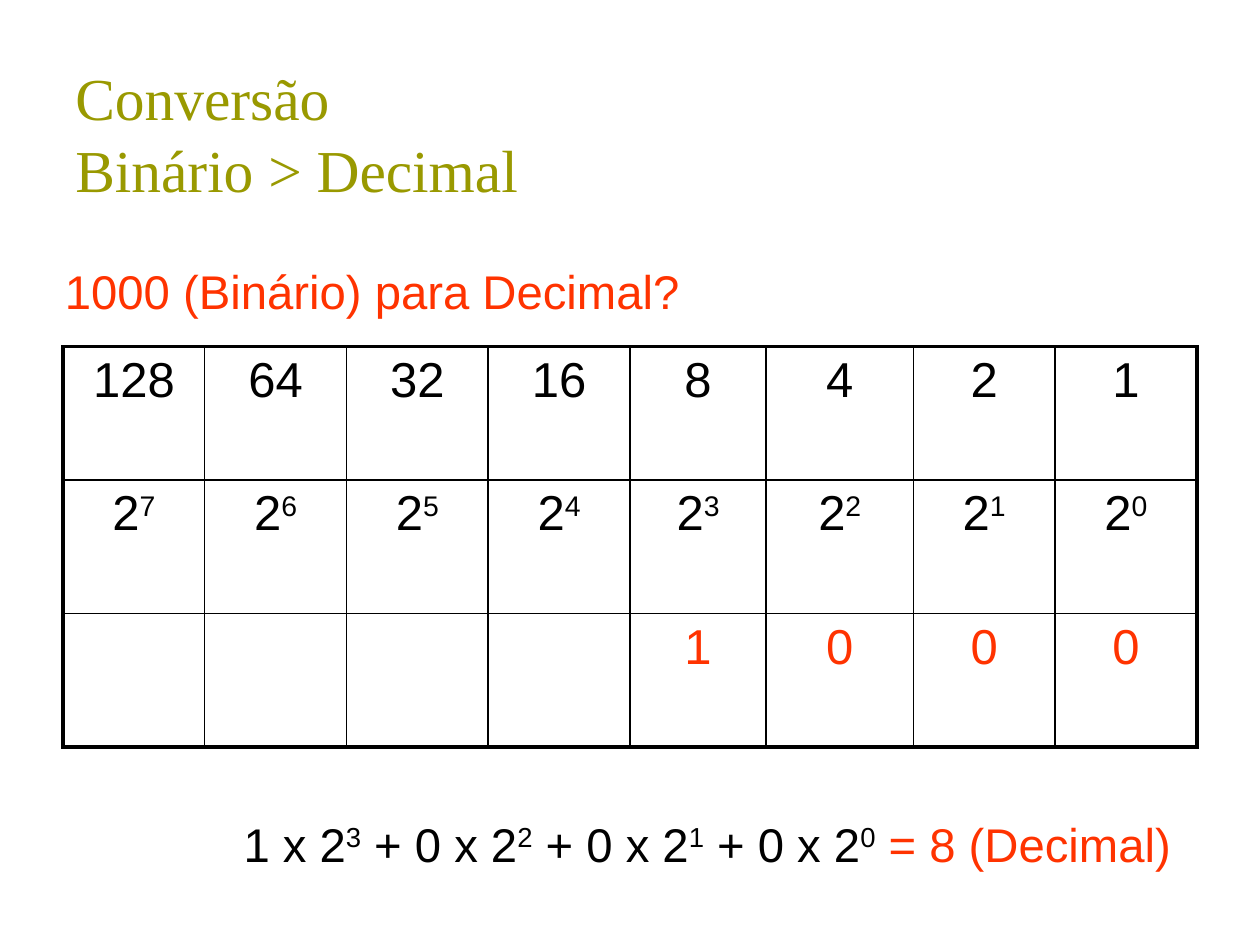
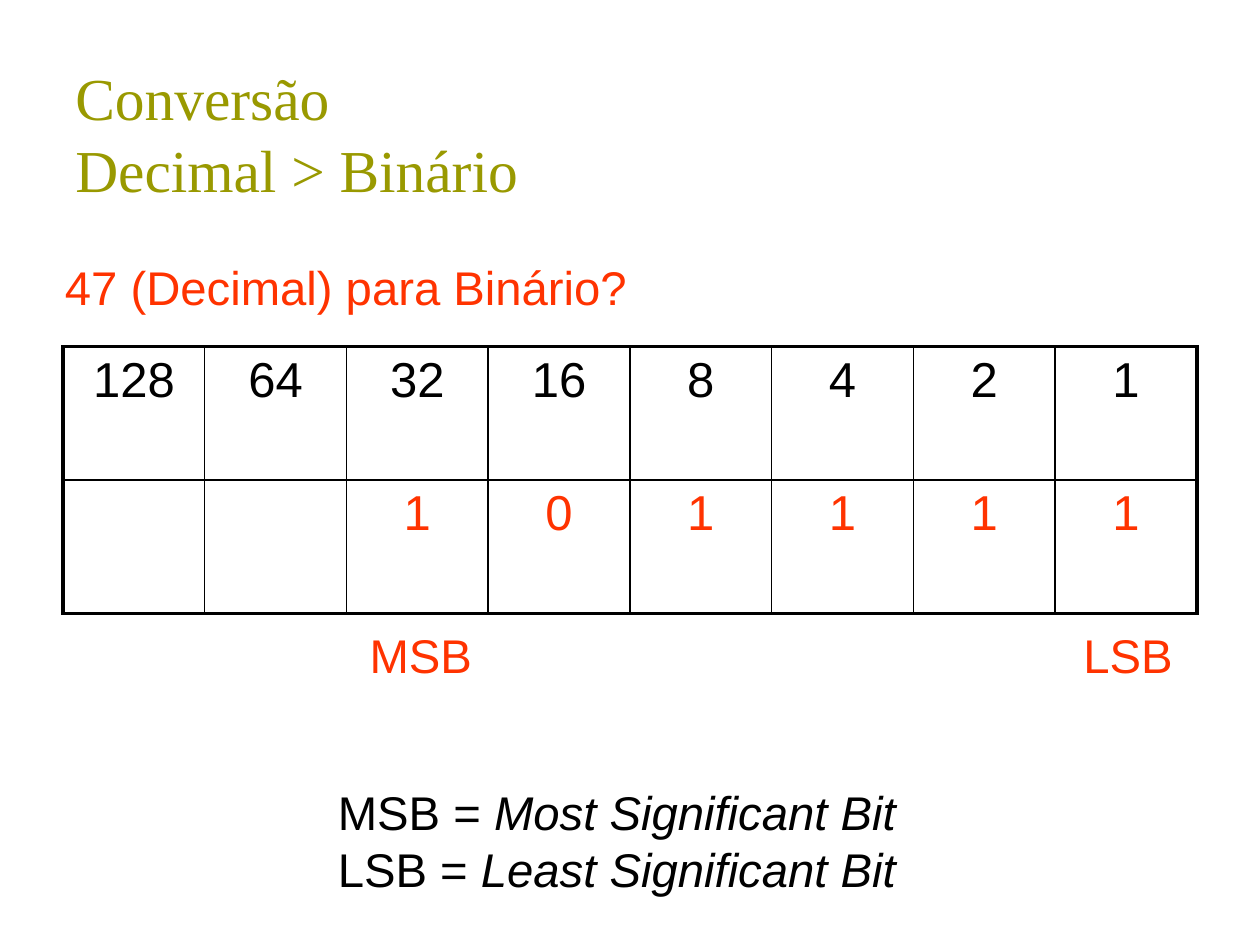
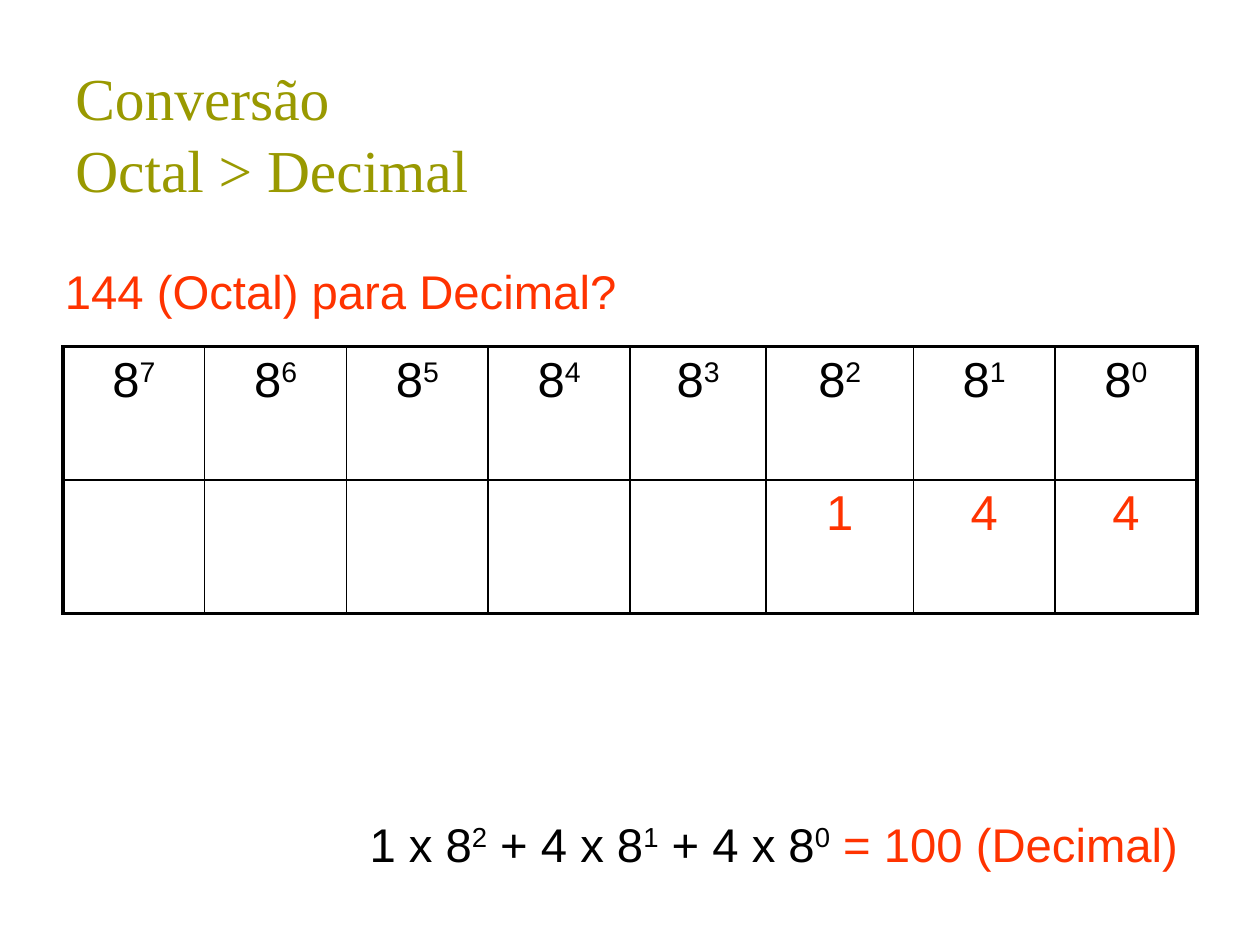
from collections import namedtuple

from pptx import Presentation
from pptx.dml.color import RGBColor
from pptx.enum.text import MSO_ANCHOR, MSO_AUTO_SIZE, PP_ALIGN
from pptx.oxml import parse_xml
from pptx.oxml.ns import nsdecls
from pptx.util import Cm, Pt

COLOURS = {"title": "999900", "text": "000000", "answer": "FF3300", "border": "000000"}
FORMATS = {
    "title": {"name": "Times New Roman", "size": Pt(34)},
    "body": {"name": "Arial", "size": Pt(27)},
    "term": {"name": "Arial", "size": Pt(27), "italic": True},
    "cell": {"name": "Arial", "size": Pt(28), "bold": False},
}
OUTER_BORDER, INNER_BORDER = Pt(2.25), Pt(1)
COLUMN_COUNT = 8

Box = namedtuple("Box", "left top width height")


def box_cm(left, top, width, height):
    return Box(Cm(left), Cm(top), Cm(width), Cm(height))


TITLE_BOX = box_cm(1.27, 1.06, 22.86, 3.18)
TABLE_LEFT, TABLE_TOP, TABLE_WIDTH, ROW_HEIGHT = Cm(1.27), Cm(6.99), Cm(22.86), Cm(2.69)


def add_run(paragraph, text, style, colour, raised=False):
    run = paragraph.add_run()
    run.text = text
    for attribute, value in FORMATS[style].items():
        setattr(run.font, attribute, value)
    run.font.color.rgb = RGBColor.from_string(COLOURS[colour])
    if raised:
        run.font._element.set("baseline", "30000")


def write_powers(paragraph, text, style, colour="text"):
    """Write text in which each ^ raises the one character after it."""
    base, *powers = text.split("^")
    add_run(paragraph, base, style, colour)
    for power in powers:
        add_run(paragraph, power[0], style, colour, raised=True)
        if power[1:]:
            add_run(paragraph, power[1:], style, colour)


def add_text(slide, box, lines, wrap=False):
    """Add a text box; each line is a list of (text, style, colour)."""
    frame = slide.shapes.add_textbox(*box).text_frame
    frame.word_wrap = wrap
    frame.auto_size = MSO_AUTO_SIZE.SHAPE_TO_FIT_TEXT
    for index, line in enumerate(lines):
        paragraph = frame.add_paragraph() if index else frame.paragraphs[0]
        for text, style, colour in line:
            write_powers(paragraph, text, style, colour)


def add_title(slide, box, conversion):
    frame = slide.shapes.add_textbox(*box).text_frame
    frame.word_wrap = True
    frame.vertical_anchor = MSO_ANCHOR.BOTTOM
    paragraph = frame.paragraphs[0]
    add_run(paragraph, "Conversão", "title", "title")
    paragraph.add_line_break()
    add_run(paragraph, conversion, "title", "title")


def set_borders(cell, outer_sides):
    properties = cell._tc.get_or_add_tcPr()
    for side in "LRTB":
        width = OUTER_BORDER if side in outer_sides else INNER_BORDER
        properties.append(parse_xml(
            f'<a:ln{side} {nsdecls("a")} w="{width}"><a:solidFill>'
            f'<a:srgbClr val="{COLOURS["border"]}"/></a:solidFill></a:ln{side}>'))


def add_place_table(slide, left, top, width, headings, digits, shift):
    """Add rows of place values above a row of right-aligned digits."""
    rows = headings + [[""] * (COLUMN_COUNT - len(digits)) + list(digits)]
    last_row, last_column = len(rows) - 1, COLUMN_COUNT - 1
    table = slide.shapes.add_table(len(rows), COLUMN_COUNT, left, top, width,
                                   ROW_HEIGHT * len(rows)).table
    table.first_row = table.horz_banding = False
    for column in table.columns:
        column.width = width // COLUMN_COUNT
    table.columns[4].width -= shift
    table.columns[5].width += shift
    for row_index, row in enumerate(rows):
        table.rows[row_index].height = ROW_HEIGHT
        for column_index, text in enumerate(row):
            cell = table.cell(row_index, column_index)
            edges = {"L": column_index == 0, "R": column_index == last_column,
                     "T": row_index == 0, "B": row_index == last_row}
            set_borders(cell, [side for side, outer in edges.items() if outer])
            cell.fill.background()
            paragraph = cell.text_frame.paragraphs[0]
            paragraph.alignment = PP_ALIGN.CENTER
            if text:
                write_powers(paragraph, text, "cell",
                             "answer" if row_index == last_row else "text")


def add_conversion_slide(presentation, conversion, question, question_box,
                         headings, digits, shift=Cm(0.11)):
    slide = presentation.slides.add_slide(presentation.slide_layouts[6])
    add_title(slide, TITLE_BOX, conversion)
    add_place_table(slide, TABLE_LEFT, TABLE_TOP, TABLE_WIDTH, headings, digits, shift)
    add_text(slide, question_box, [[(question, "body", "answer")]])
    return slide


def add_sum(slide, box, terms, result):
    add_text(slide, box, [[(terms, "body", "text"), (result, "body", "answer")]], wrap=True)


def add_bit_names(slide, label_boxes, legend_box):
    """Label the outer bits and explain the labels below."""
    for label, box in label_boxes.items():
        add_text(slide, box, [[(label, "body", "answer")]])
    meanings = {"MSB": "Most Significant Bit", "LSB": "Least Significant Bit"}
    add_text(slide, legend_box, [[(f"{label} = ", "body", "text"), (meaning, "term", "text")]
                                 for label, meaning in meanings.items()])


def main():
    presentation = Presentation()
    presentation.slide_width, presentation.slide_height = Cm(25.4), Cm(19.05)
    exponents = range(COLUMN_COUNT - 1, -1, -1)
    weights = [str(2 ** exponent) for exponent in exponents]
    binary_powers = [f"2^{exponent}" for exponent in exponents]
    octal_powers = [f"8^{exponent}" for exponent in exponents]

    slide = add_conversion_slide(
        presentation, "Binário > Decimal", "1000 (Binário) para Decimal?",
        box_cm(1.06, 5.16, 12.9, 1.4), [weights, binary_powers], "1000")
    add_sum(slide, box_cm(4.66, 16.3, 19.79, 1.4),
            "1 x 2^3 + 0 x 2^2 + 0 x 2^1 + 0 x 2^0", " = 8 (Decimal)")

    slide = add_conversion_slide(
        presentation, "Decimal > Binário", "47 (Decimal) para Binário?",
        box_cm(1.06, 5.08, 11.84, 1.4), [weights], "101111", shift=0)
    add_bit_names(slide, {"LSB": box_cm(21.59, 12.5, 2.31, 1.4),
                          "MSB": box_cm(7.2, 12.5, 2.57, 1.4)},
                  box_cm(6.56, 15.67, 11.76, 2.54))

    slide = add_conversion_slide(
        presentation, "Octal > Decimal", "144 (Octal) para Decimal?",
        box_cm(1.06, 5.16, 11.63, 1.4), [octal_powers], "144")
    add_sum(slide, box_cm(7.2, 16.3, 17.35, 1.4),
            "1 x 8^2 + 4 x 8^1 + 4 x 8^0", " = 100 (Decimal)")

    presentation.save("out.pptx")


if __name__ == "__main__":
    main()
